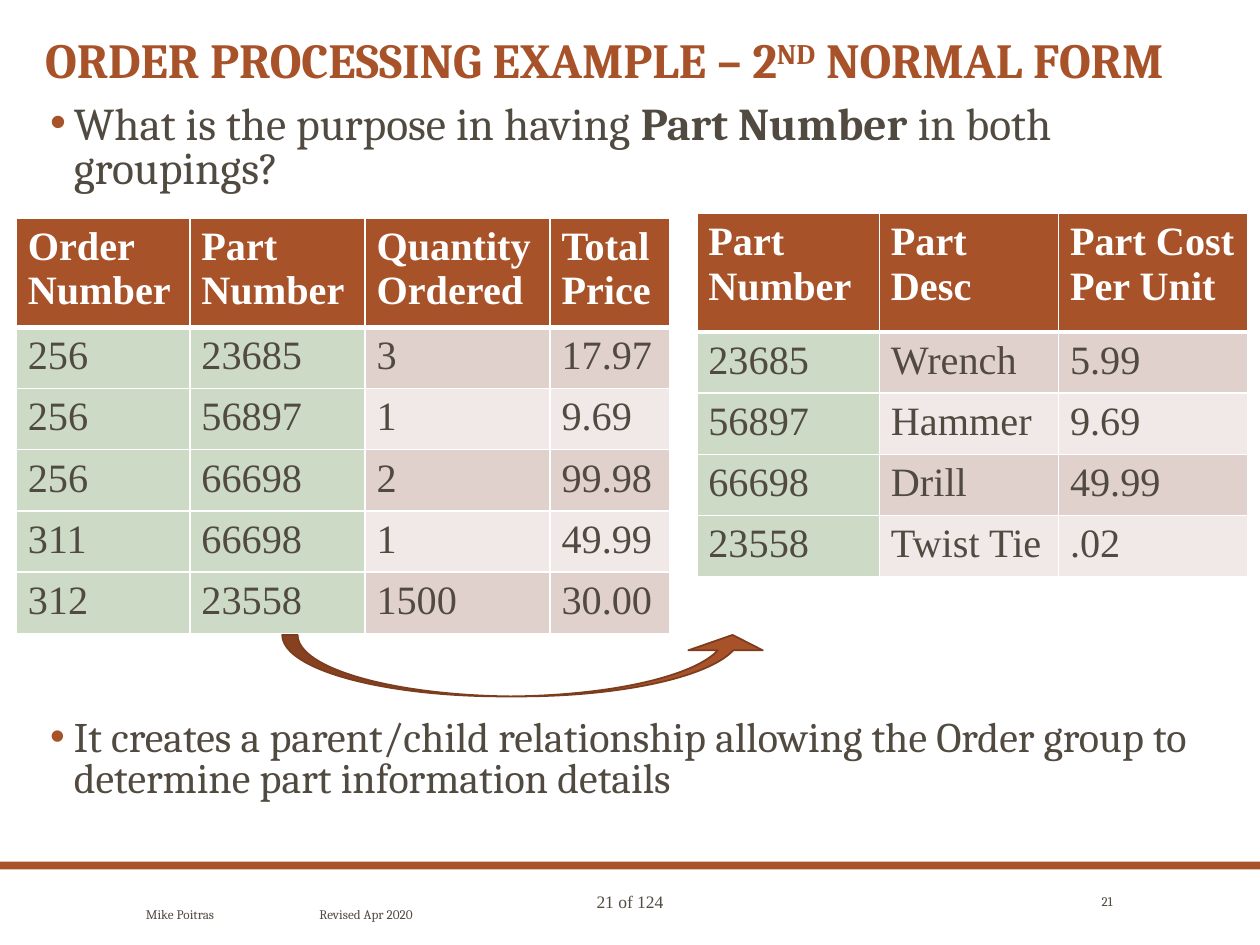
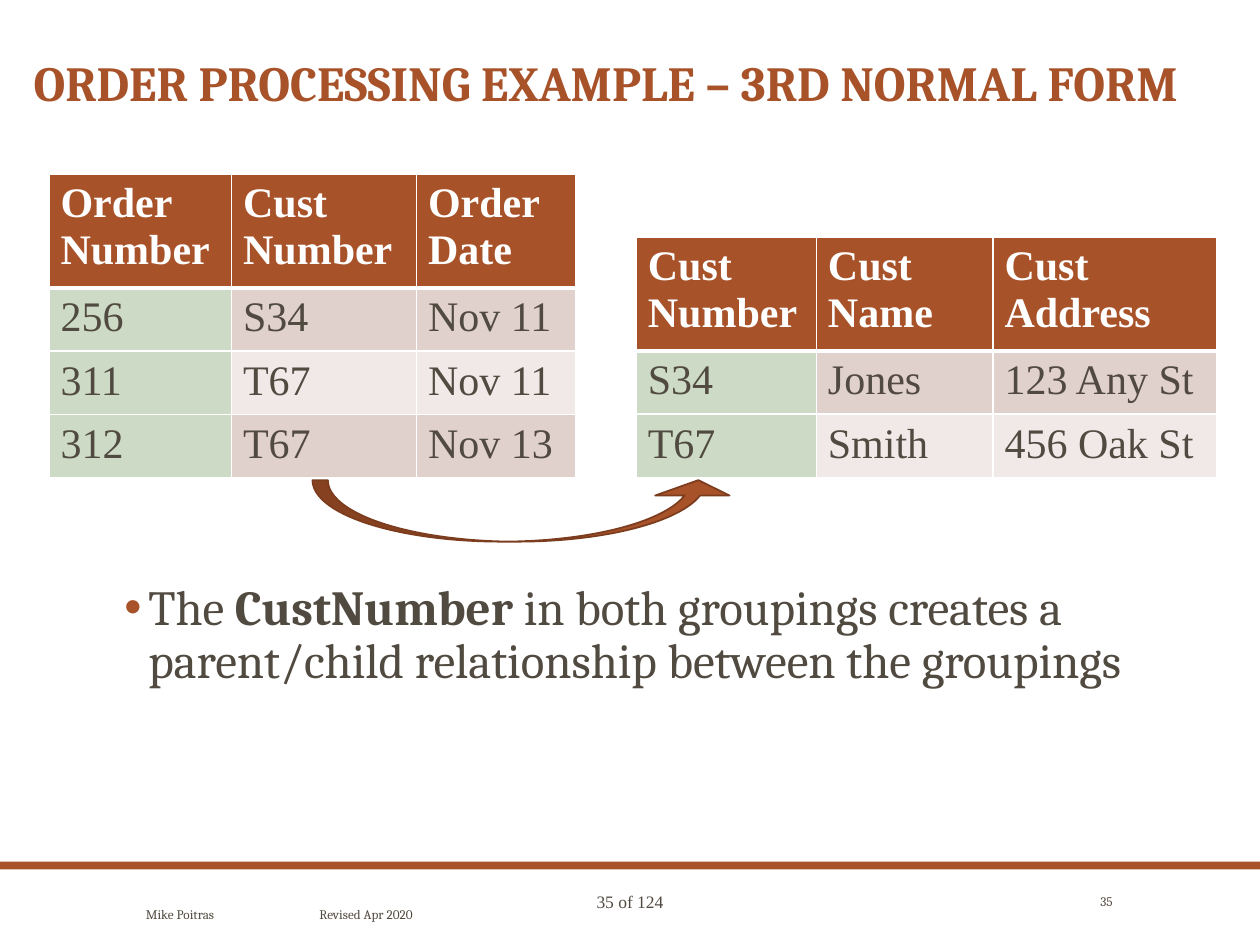
from dataclasses import dataclass

from lxml.etree import SubElement as Sub
from pptx import Presentation
from pptx.dml.color import RGBColor as Rgb
from pptx.enum.shapes import MSO_SHAPE as Kind
from pptx.enum.text import MSO_ANCHOR as Anchor, PP_ALIGN as Align
from pptx.oxml.ns import qn
from pptx.util import Cm, Pt


@dataclass(frozen=True)
class Theme:
    rust: str = "A85229"
    edge: str = "7C3D1E"
    ink: str = "514A40"
    white: str = "FFFFFF"
    key: str = "CDDBC6"
    bands: tuple = ("E1D1CD", "F1E9E8")
    serif: str = "Cambria"
    roman: str = "Times New Roman"
    head: float = 28
    page: float = 10
    foot: float = 7.5


T = Theme()
TOTAL = 124
PAD = {"margin_left": Cm(0.23), "margin_right": Cm(0.23),
       "margin_top": Cm(0.13), "margin_bottom": Cm(0.13)}


# Basic helpers
def put(item, form):
    for name, value in form.items():
        setattr(item, name, value)


def paint(fill, tone):
    fill.solid()
    fill.fore_color.rgb = Rgb.from_string(tone)


def style(run, size, tone=T.ink, face=T.serif, bold=False):
    put(run.font, {"size": Pt(size), "name": face, "bold": bold})
    run.font.color.rgb = Rgb.from_string(tone)


def add_text(slide, spot, parts, size, form=None, anchor=Anchor.TOP, **look):
    """Place one paragraph; parts are (text, format) pairs or one string."""
    frame = slide.shapes.add_textbox(*map(Cm, spot)).text_frame
    put(frame, {"word_wrap": True, "vertical_anchor": anchor})
    para = frame.paragraphs[0]
    put(para, form or {})
    if isinstance(parts, str):
        parts = [(parts, {})]
    for text, extra in parts:
        run = para.add_run()
        run.text = text
        rise = extra.get("rise")
        style(run, size, **{**look, **{k: v for k, v in extra.items() if k != "rise"}})
        if rise:
            run.font._element.set("baseline", str(rise * 1000))
    return para


def add_shape(slide, kind, spot, line=None):
    shape = slide.shapes.add_shape(kind, *map(Cm, spot))
    shape.shadow.inherit = False
    paint(shape.fill, T.rust)
    if line:
        paint(shape.line.fill, line)
        shape.line.width = Pt(1)
    else:
        shape.line.fill.background()
    return shape


# Kinds of element
def add_title(slide, spot, parts):
    add_text(slide, spot, parts, T.head, {"line_spacing": 0.9}, tone=T.rust, bold=True)


def add_point(slide, spot, parts, size, pitch):
    para = add_text(slide, spot, parts, size)
    props = para._p.get_or_add_pPr()
    props.set("marL", str(Cm(0.58)))
    props.set("indent", str(-Cm(0.48)))
    Sub(Sub(props, qn("a:buClr")), qn("a:srgbClr"), val=T.rust)
    Sub(props, qn("a:buFont"), typeface="Arial")
    Sub(props, qn("a:buChar"), char="•")
    put(para, {"line_spacing": pitch, "space_after": Pt(12)})


def add_edges(cell, top):
    props = cell._tc.get_or_add_tcPr()
    for side in "LRTB":
        thick = 3 if top and side == "B" else 1
        line = Sub(props, qn(f"a:ln{side}"), w=str(Pt(thick)))
        Sub(Sub(line, qn("a:solidFill")), qn("a:srgbClr"), val=T.white)


def add_grid(slide, left, top, wides, tall, step, rows, size, keys=1):
    """Draw a table whose first `keys` columns are marked as key columns."""
    high = tall + step * (len(rows) - 1)
    grid = slide.shapes.add_table(len(rows), len(wides), Cm(left), Cm(top),
                                  Cm(sum(wides)), Cm(high)).table
    grid.horz_banding = False
    for col, wide in zip(grid.columns, wides):
        col.width = Cm(wide)
    for r, row in enumerate(rows):
        grid.rows[r].height = Cm(step if r else tall)
        for c, text in enumerate(row):
            cell = grid.cell(r, c)
            put(cell, PAD)
            add_edges(cell, r == 0)
            band = T.key if c < keys else T.bands[(r + 1) % 2]
            paint(cell.fill, band if r else T.rust)
            cell.text = text
            for para in cell.text_frame.paragraphs:
                style(para.runs[0], size, T.ink if r else T.white, T.roman, r == 0)


def add_arrow(slide, spot):
    arrow = add_shape(slide, Kind.CURVED_UP_ARROW, spot, T.edge)
    for i, value in enumerate((0.25, 1.21, 0.25)):
        arrow.adjustments[i] = value


def add_foot(slide, page):
    add_shape(slide, Kind.RECTANGLE, (0, 17.37, 25.4, 0.16))
    add_text(slide, (8.94, 17.83, 7.52, 0.69), f"{page} of {TOTAL}", T.page,
             {"alignment": Align.CENTER}, face=T.roman)
    para = add_text(slide, (2.69, 17.83, 20.02, 1.22), "Mike Poitras\tRevised Apr 2020",
                    T.foot, anchor=Anchor.MIDDLE)
    tabs = Sub(para._p.get_or_add_pPr(), qn("a:tabLst"))
    Sub(tabs, qn("a:tab"), pos=str(Cm(3.5)), algn="l")
    add_text(slide, (21.23, 17.83, 1.45, 0.66), str(page), T.foot,
             {"alignment": Align.RIGHT}, Anchor.MIDDLE)


def new_slide(deck, page):
    slide = deck.slides.add_slide(deck.slide_layouts[6])
    paint(slide.background.fill, T.white)
    add_foot(slide, page)
    return slide


# Slides
def second_form(deck):
    slide = new_slide(deck, 21)
    add_title(slide, (0.66, 0.61, 23.98, 1.4),
              [("ORDER PROCESSING EXAMPLE – 2", {}), ("ND", {"rise": 30}),
               (" NORMAL FORM", {})])
    add_point(slide, (0.66, 2.01, 24.23, 2.1),
              [("What is the purpose in having ", {}), ("Part Number", {"bold": True}),
               (" in both groupings?", {})], 26, 0.8)
    orders = [("Order\nNumber", "Part Number", "Quantity Ordered", "Total Price"),
              ("256", "23685", "3", "17.97"),
              ("256", "56897", "1", "9.69"),
              ("256", "66698", "2", "99.98"),
              ("311", "66698", "1", "49.99"),
              ("312", "23558", "1500", "30.00")]
    add_grid(slide, 0.33, 4.39, (3.5, 3.53, 3.73, 2.41), 2.19, 1.23, orders, 23, keys=2)
    parts = [("Part Number", "Part Desc", "Part Cost Per Unit"),
             ("23685", "Wrench", "5.99"),
             ("56897", "Hammer", "9.69"),
             ("66698", "Drill", "49.99"),
             ("23558", "Twist Tie", ".02")]
    add_grid(slide, 14.05, 4.3, (3.68, 3.61, 3.81), 2.39, 1.16, parts, 23)
    add_arrow(slide, (5.69, 12.8, 9.83, 1.24))
    add_point(slide, (0.66, 14.4, 24.23, 2.1),
              "It creates a parent/child relationship allowing the Order group to "
              "determine part information details", 24, 0.8)


def third_form(deck):
    slide = new_slide(deck, 35)
    add_title(slide, (0.43, 1.07, 24.51, 1.4),
              "ORDER PROCESSING EXAMPLE – 3RD NORMAL FORM")
    orders = [("Order\nNumber", "Cust Number", "Order Date"),
              ("256", "S34", "Nov 11"),
              ("311", "T67", "Nov 11"),
              ("312", "T67", "Nov 13")]
    add_grid(slide, 0.99, 3.51, (3.68, 3.73, 3.2), 2.28, 1.19, orders, 24)
    clients = [("Cust Number", "Cust Name", "Cust\nAddress"),
               ("S34", "Jones", "123 Any St"),
               ("T67", "Smith", "456 Oak St")]
    add_grid(slide, 12.83, 4.78, (3.63, 3.56, 4.5), 2.13, 1.19, clients, 24)
    add_arrow(slide, (6.3, 9.68, 8.53, 1.24))
    add_point(slide, (2.16, 11.63, 21.89, 5.28),
              [("The ", {}), ("CustNumber", {"bold": True}),
               (" in both groupings creates a parent/child relationship "
                "between the groupings", {})], 28, 0.9)


def main():
    deck = Presentation()
    put(deck, {"slide_width": Cm(25.4), "slide_height": Cm(19.05)})
    second_form(deck)
    third_form(deck)
    deck.save("out.pptx")


if __name__ == "__main__":
    main()
